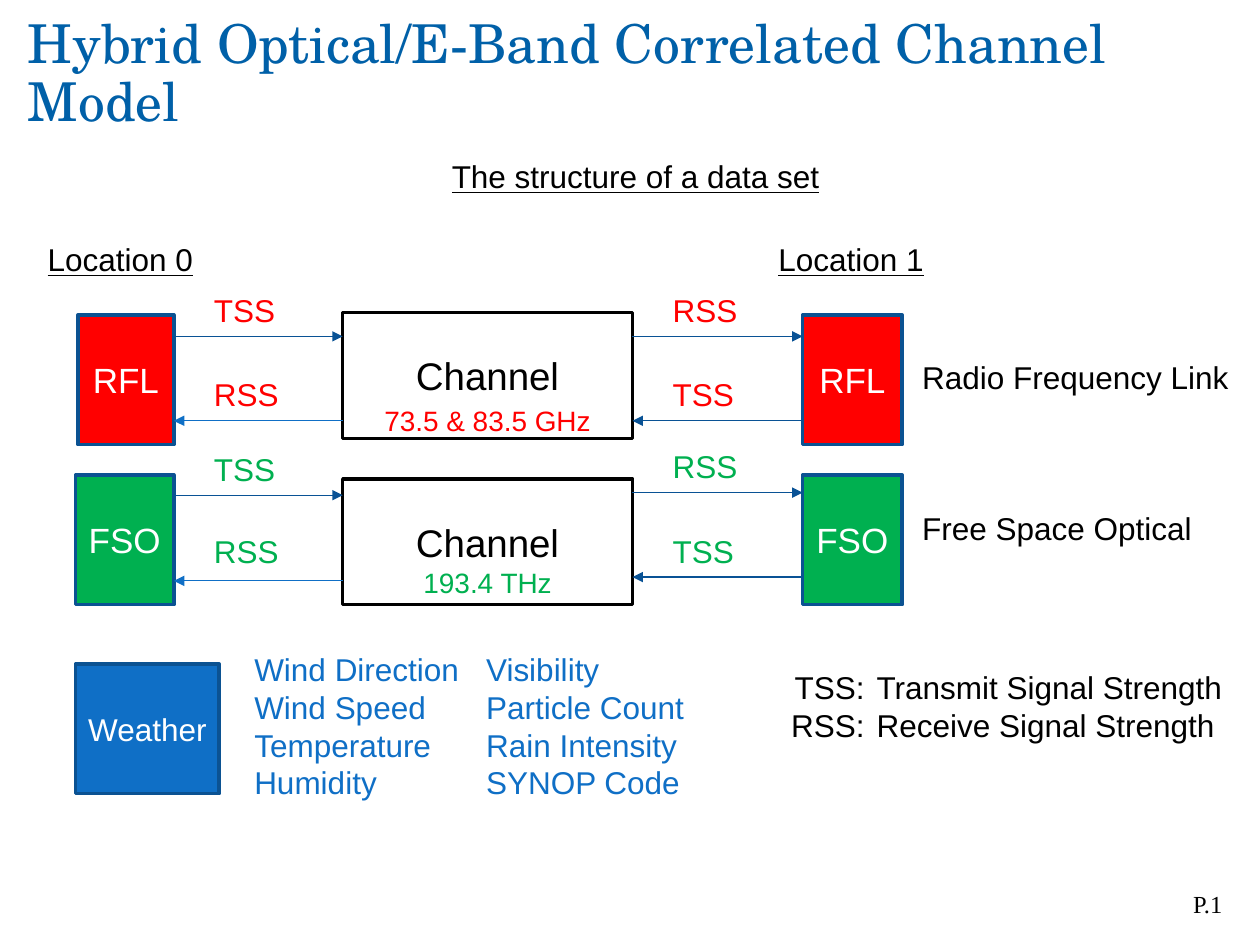
from lxml.etree import SubElement
from pptx import Presentation
from pptx.dml.color import RGBColor
from pptx.enum.dml import MSO_LINE
from pptx.enum.shapes import MSO_CONNECTOR, MSO_SHAPE
from pptx.enum.text import MSO_ANCHOR, PP_ALIGN
from pptx.oxml.ns import qn
from pptx.util import Inches, Pt

COLORS = {"title": "0060A8", "text": "000000", "white": "FFFFFF", "weather": "0F6FC6",
          "border": "0B5292", "arrow": "095295", "radio": "FF0000", "optical": "00B050"}
COLUMNS = {"margin": 0.28, "station0": 1.38, "channel": 2.72, "channel_end": 5.02,
           "station1": 6.37, "station_end": 7.16}
STATION_HEIGHT = 1.03
LABEL_INDENT = 0.22

LINKS = [
    {"name": "RFL", "color": "radio", "left": 0.62, "top": 2.5, "channel_top": 2.48,
     "band": "73.5 & 83.5 GHz", "band_top": 3.15, "meaning": "Radio Frequency Link",
     "meaning_top": 2.79, "signals0": [(2.67, 2.26), (3.34, 2.93)],
     "signals1": [(2.67, 2.26), (3.34, 2.93)]},
    {"name": "FSO", "color": "optical", "left": 0.6, "top": 3.77, "channel_top": 3.8,
     "band": "193.4 THz", "band_top": 4.44, "meaning": "Free Space Optical",
     "meaning_top": 3.99, "signals0": [(3.93, 3.52), (4.61, 4.17)],
     "signals1": [(3.91, 3.5), (4.58, 4.17)]},
]


def rgb(name):
    """Return the palette colour of that name."""
    return RGBColor.from_string(COLORS[name])


def write(frame, text, size=18, color="text", font="Arial", align=PP_ALIGN.LEFT,
          anchor=MSO_ANCHOR.TOP, underline=None, spacing=None):
    """Fill a text frame, one paragraph per line of text, in one format."""
    frame.word_wrap = True
    frame.vertical_anchor = anchor
    frame.text = text
    for paragraph in frame.paragraphs:
        paragraph.alignment = align
        paragraph.line_spacing = spacing
        paragraph.font.size = Pt(size)
        paragraph.font.name = font
        paragraph.font.underline = underline
        paragraph.font.color.rgb = rgb(color)


def add_text(slide, left, top, width, height, text, **style):
    """Add a text box."""
    area = slide.shapes.add_textbox(*map(Inches, (left, top, width, height)))
    write(area.text_frame, text, **style)


def add_block(slide, left, top, width, height, text, fill=None, border="border", **style):
    """Add a bordered rectangle with centred text."""
    block = slide.shapes.add_shape(MSO_SHAPE.RECTANGLE,
                                   *map(Inches, (left, top, width, height)))
    block.shadow.inherit = False
    if fill:
        block.fill.solid()
        block.fill.fore_color.rgb = rgb(fill)
    else:
        block.fill.background()
    block.line.color.rgb = rgb(border)
    block.line.width = Pt(2)
    block.text_frame.margin_left = block.text_frame.margin_right = Inches(0.05)
    write(block.text_frame, text, align=PP_ALIGN.CENTER, anchor=MSO_ANCHOR.MIDDLE, **style)


def add_arrow(slide, start, end, y, color):
    """Add a horizontal arrow pointing at its end."""
    arrow = slide.shapes.add_connector(MSO_CONNECTOR.STRAIGHT,
                                       *map(Inches, (start, y, end, y)))
    arrow.line.color.rgb = rgb(color)
    arrow.line.width = Pt(0.75)
    arrow.line.dash_style = MSO_LINE.SOLID
    SubElement(arrow.line._get_or_add_ln(), qn("a:tailEnd"), type="triangle")
    SubElement(arrow._element.spPr, qn("a:effectLst"))


def add_signals(slide, left, right, names, rows, color, return_color):
    """Add the arrow to the right and the one back, each with its label."""
    (out_y, _), (back_y, _) = rows
    add_arrow(slide, left, right, out_y, "arrow")
    add_arrow(slide, right, left, back_y, return_color)
    for name, (_, label_top) in zip(names, rows):
        add_text(slide, left + LABEL_INDENT, label_top, 0.8, 0.4, name, color=color)


def add_link(slide, link):
    """Add one row of stations, channel and signals."""
    color, top = link["color"], link["top"]
    channel, channel_end = COLUMNS["channel"], COLUMNS["channel_end"]
    stations = [(link["left"], COLUMNS["station0"]),
                (COLUMNS["station1"], COLUMNS["station_end"])]
    for left, right in stations:
        add_block(slide, left, top, right - left, STATION_HEIGHT, link["name"],
                  fill=color, size=20, color="white")
    add_block(slide, channel, link["channel_top"], channel_end - channel, 1, "Channel",
              border="text", size=22)
    add_text(slide, channel, link["band_top"], channel_end - channel, 0.37, link["band"],
             size=16, color=color, align=PP_ALIGN.CENTER)
    add_signals(slide, COLUMNS["station0"], channel, ("TSS", "RSS"),
                link["signals0"], color, "weather")
    add_signals(slide, channel_end, COLUMNS["station1"], ("RSS", "TSS"),
                link["signals1"], color, "arrow")
    add_text(slide, 7.22, link["meaning_top"], 2.78, 0.4, link["meaning"])


def add_weather(slide):
    """Add the weather block and its two columns of measures."""
    add_block(slide, 0.6, 5.27, 1.14, STATION_HEIGHT, "Weather", fill="weather", color="white")
    measures = [(1.92, "Wind Direction\nWind Speed\nTemperature\nHumidity"),
                (3.76, "Visibility\nParticle Count\nRain Intensity\nSYNOP Code")]
    for left, names in measures:
        add_text(slide, left, 5.11, 1.96, 1.31, names, color="weather")


def add_title(slide, text):
    """Place and format the title."""
    title = slide.shapes.title
    title.left, title.top, title.width, title.height = map(Inches, (0.12, 0.13, 9.84, 0.93))
    write(title.text_frame, text, size=30.6, color="title", font="TeX Gyre Schola",
          anchor=MSO_ANCHOR.MIDDLE, spacing=0.9)


def main():
    """Build the slide and save it."""
    deck = Presentation()
    deck.slide_width, deck.slide_height = Inches(10), Inches(7.5)
    slide = deck.slides.add_slide(deck.slide_layouts[5])
    add_title(slide, "Hybrid Optical/E-Band Correlated Channel Model")
    add_text(slide, COLUMNS["margin"], 1.2, 9.53, 0.4, "The structure of a data set",
             align=PP_ALIGN.CENTER, underline=True)
    for left, location in ((COLUMNS["margin"], "Location 0"), (6.08, "Location 1")):
        add_text(slide, left, 1.86, 1.5, 0.4, location, underline=True)
    for link in LINKS:
        add_link(slide, link)
    add_weather(slide)
    add_text(slide, 6.02, 5.25, 0.94, 0.71, "TSS:\nRSS:", align=PP_ALIGN.RIGHT)
    add_text(slide, 6.86, 5.25, 3.14, 0.71,
             "Transmit Signal Strength\nReceive Signal Strength")
    add_text(slide, 7.72, 6.92, 2.08, 0.5, "P.1", size=14, font="Times New Roman",
             align=PP_ALIGN.RIGHT, anchor=MSO_ANCHOR.MIDDLE)
    deck.save("out.pptx")


if __name__ == "__main__":
    main()
